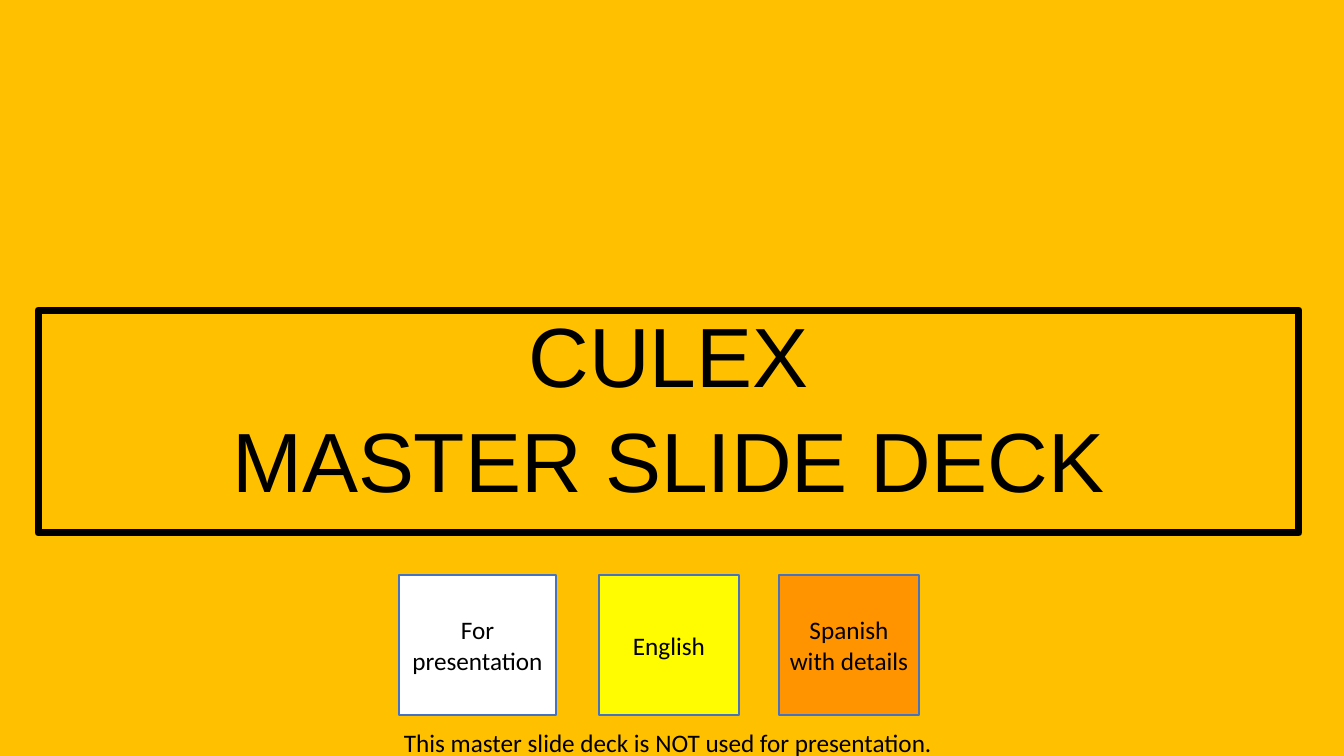
from pptx import Presentation
from pptx.dml.color import RGBColor
from pptx.enum.shapes import MSO_SHAPE
from pptx.enum.text import MSO_ANCHOR, MSO_AUTO_SIZE, PP_ALIGN
from pptx.util import Pt
from lxml import etree

RECT = MSO_SHAPE.RECTANGLE
CENTER, LEFT = PP_ALIGN.CENTER, PP_ALIGN.LEFT
TOP, MIDDLE = MSO_ANCHOR.TOP, MSO_ANCHOR.MIDDLE
NS = "{http://schemas.openxmlformats.org/drawingml/2006/main}"
SCALE = 914400 / 100.8  # EMU in one px


def color(code):
    return RGBColor.from_string(code)


def write(shape, text, size, font, align, anchor):
    frame = shape.text_frame
    frame.text = text
    frame.word_wrap = True
    frame.auto_size = MSO_AUTO_SIZE.NONE
    frame.vertical_anchor = anchor
    frame.margin_left = frame.margin_right = round(5 * SCALE)
    frame.margin_top = frame.margin_bottom = round(5 * SCALE)
    for para in frame.paragraphs:
        para.alignment = align
        para.font.size = Pt(size)
        para.font.name = font
        para.font.color.rgb = color("000000")


# Slide and background
deck = Presentation()
deck.slide_width, deck.slide_height = round(1344 * SCALE), round(756 * SCALE)
slide = deck.slides.add_slide(deck.slide_layouts[1])
fill = slide.background.fill
fill.solid()
fill.fore_color.rgb = color("FFC000")

# Framed heading in the body placeholder
title, body = slide.placeholders
title.element.getparent().remove(title.element)
body.left, body.top, body.width, body.height = [
    round(n * SCALE) for n in (38, 310, 1261, 223)]
body.line.color.rgb = color("000000")
body.line.width = Pt(5)
etree.SubElement(body.line._get_or_add_ln(), NS + "round")
write(body, "CULEX\nMASTER SLIDE DECK", 60, "Arial", CENTER, TOP)
for para in body.text_frame.paragraphs:
    para.line_spacing = 0.9
    para.space_before = Pt(10)
    props = para._p.get_or_add_pPr()
    props.set("marL", "0")
    props.set("indent", "0")
    props.find(NS + "defRPr").addprevious(etree.Element(NS + "buNone"))

# Colour key
keys = [("For presentation", 399, 157, "FFFFFF"),
        ("English", 599, 140, "FFFB00"),
        ("Spanish with details", 779, 140, "FF9300")]
for text, left, width, code in keys:
    box = slide.shapes.add_shape(
        RECT, *[round(n * SCALE) for n in (left, 575, width, 140)])
    box.shadow.inherit = False
    box.fill.solid()
    box.fill.fore_color.rgb = color(code)
    box.line.color.rgb = color("4472C4")
    box.line.width = Pt(1)
    write(box, text, 18, "Calibri", CENTER, MIDDLE)

# Note under the key
note = slide.shapes.add_textbox(
    *[round(n * SCALE) for n in (399, 722, 611, 39)])
write(note, "This master slide deck is NOT used for presentation.",
      18, "Calibri", LEFT, TOP)

deck.save("out.pptx")
